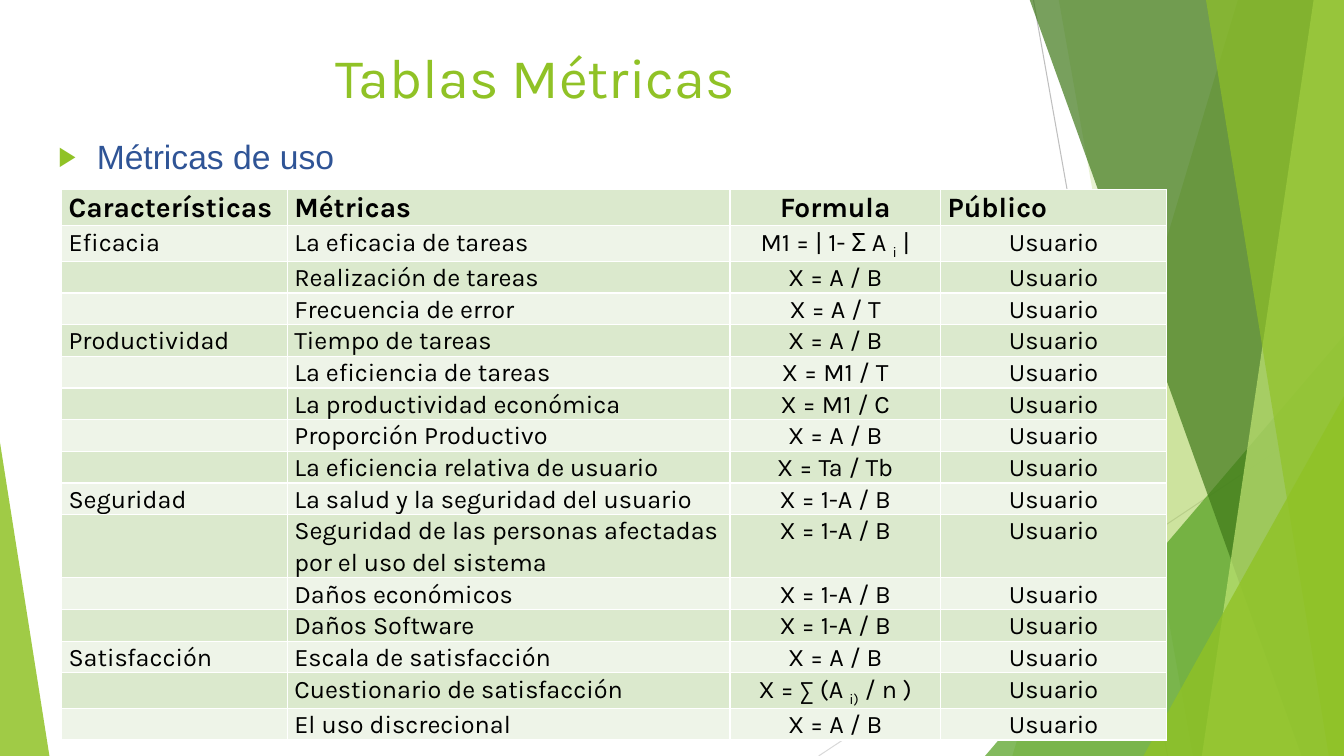
from typing import NamedTuple

from lxml.etree import SubElement
from pptx import Presentation
from pptx.dml.color import RGBColor
from pptx.enum.shapes import MSO_CONNECTOR, MSO_SHAPE
from pptx.enum.text import MSO_ANCHOR, MSO_AUTO_SIZE, PP_ALIGN
from pptx.oxml.ns import qn
from pptx.util import Inches, Pt

GREEN, BLUE, BLACK, WHITE = "90C226", "2F5496", "000000", "FFFFFF"
BANDS = ("DBE9CD", "EEF4E8")
WIDTH, HEIGHT, TOP = 13.33, 7.5, -0.01


class Ray(NamedTuple):
    start: tuple[float, float]
    end: tuple[float, float]
    color: str


class Blade(NamedTuple):
    """Panel running to the right slide edge, with a slanted left side."""
    top_x: float
    bottom_x: float
    color: str
    opacity: int


class Corner(NamedTuple):
    """Right triangle on the bottom edge; apex 0 is left, 1 is right."""
    left: float
    top: float
    width: float
    apex: int
    color: str
    opacity: int


class Metric(NamedTuple):
    feature: str
    name: str
    formula: str  # subscripts stand between underscores
    audience: str = "Usuario"


RAYS = (
    Ray((10.25, 0), (11.58, HEIGHT), "BFBFBF"),
    Ray((WIDTH, 4.03), (8.12, HEIGHT), "D9D9D9"),
)
FACETS = (
    Blade(12.28, 10.04, GREEN, 30),
    Blade(10.5, 11.83, GREEN, 20),
    Corner(9.77, 3.33, 3.56, 1, "54A021", 72),
    Blade(10.21, 12.91, "3F7819", 70),
    Blade(13.03, 11.92, "C0E474", 70),
    Blade(11.96, 13.18, GREEN, 65),
    Corner(11.34, 3.93, 1.99, 1, GREEN, 80),
    Corner(0, 4.39, 0.49, 0, GREEN, 85),
)
METRICS = (
    Metric("Características", "Métricas", "Formula", "Público"),
    Metric("Eficacia", "La eficacia de tareas", "M1 = | 1- Σ A _i_ |"),
    Metric("", "Realización de tareas", "X = A / B"),
    Metric("", "Frecuencia de error", "X = A / T"),
    Metric("Productividad", "Tiempo de tareas", "X = A / B"),
    Metric("", "La eficiencia de tareas", "X = M1 / T"),
    Metric("", "La productividad económica", "X = M1 / C"),
    Metric("", "Proporción Productivo", "X = A / B"),
    Metric("", "La eficiencia relativa de usuario", "X = Ta / Tb"),
    Metric("Seguridad", "La salud y la seguridad del usuario", "X = 1-A / B"),
    Metric("", "Seguridad de las personas afectadas por el uso del sistema", "X = 1-A / B"),
    Metric("", "Daños económicos", "X = 1-A / B"),
    Metric("", "Daños Software", "X = 1-A / B"),
    Metric("Satisfacción", "Escala de satisfacción", "X = A / B"),
    Metric("", "Cuestionario de satisfacción", "X = ∑ (A _i)_ / n )"),
    Metric("", "El uso discrecional", "X = A / B"),
)
COLUMN_WIDTHS = (2.24, 4.39, 2.09, 2.24)
HEADER_HEIGHT, ROW_HEIGHT, TALL_ROW, TALL_HEIGHT = 0.36, 0.28, 10, 0.56


def rgb(color: str) -> RGBColor:
    return RGBColor.from_string(color)


def style_run(run, size: int, font: str, color: str, bold: bool = False) -> None:
    run.font.size, run.font.name, run.font.bold = Pt(size), font, bold
    run.font.color.rgb = rgb(color)


def draw_ray(slide, ray: Ray) -> None:
    ends = [Inches(value) for value in ray.start + ray.end]
    line = slide.shapes.add_connector(MSO_CONNECTOR.STRAIGHT, *ends)
    line.line.color.rgb, line.line.width = rgb(ray.color), Pt(0.75)
    SubElement(line.element.spPr, qn("a:effectLst"))


def draw_facet(slide, facet: Blade | Corner) -> None:
    if isinstance(facet, Blade):
        outline = slide.shapes.build_freeform(Inches(facet.top_x), Inches(TOP))
        corners = ((WIDTH, TOP), (WIDTH, HEIGHT), (facet.bottom_x, HEIGHT))
        outline.add_line_segments([(Inches(x), Inches(y)) for x, y in corners])
        shape = outline.convert_to_shape()
    else:
        shape = slide.shapes.add_shape(
            MSO_SHAPE.ISOSCELES_TRIANGLE, Inches(facet.left), Inches(facet.top),
            Inches(facet.width), Inches(HEIGHT - facet.top))
        shape.adjustments[0] = facet.apex
    shape.shadow.inherit = False
    shape.line.fill.background()
    shape.fill.solid()
    shape.fill.fore_color.rgb = rgb(facet.color)
    tint = shape.element.spPr.find(qn("a:solidFill"))[0]
    SubElement(tint, qn("a:alpha"), val=str(facet.opacity * 1000))


def fill_placeholder(holder, text: str, box: tuple, size: int, font: str, color: str):
    """Place and format a one-line placeholder in front; return its paragraph."""
    holder.left, holder.top, holder.width, holder.height = map(Inches, box)
    holder.element.getparent().append(holder.element)
    frame = holder.text_frame
    frame.text = text
    frame.auto_size, frame.vertical_anchor = MSO_AUTO_SIZE.NONE, MSO_ANCHOR.TOP
    style_run(frame.paragraphs[0].runs[0], size, font, color)
    return frame.paragraphs[0]


def add_bullet(paragraph) -> None:
    paragraph.space_before = Pt(10)
    props = paragraph._p.get_or_add_pPr()
    props.set("marL", str(Inches(0.38)))
    props.set("indent", str(Inches(-0.38)))
    SubElement(SubElement(props, qn("a:buClr")), qn("a:srgbClr"), val=GREEN)
    SubElement(props, qn("a:buSzPct"), val="80000")
    SubElement(props, qn("a:buChar"), char="▶")


def add_borders(cell) -> None:
    props = cell._tc.get_or_add_tcPr()
    for side in ("lnL", "lnR", "lnT", "lnB"):
        border = SubElement(props, qn(f"a:{side}"), w=str(Pt(1)))
        SubElement(SubElement(border, qn("a:solidFill")), qn("a:srgbClr"), val=WHITE)


def fill_cell(cell, text: str, band: str, centred: bool, header: bool) -> None:
    add_borders(cell)
    cell.fill.solid()
    cell.fill.fore_color.rgb = rgb(band)
    cell.margin_left = cell.margin_right = Inches(0.07)
    cell.margin_top = cell.margin_bottom = 0
    paragraph = cell.text_frame.paragraphs[0]
    paragraph.line_spacing, paragraph.space_after = 1.07, Pt(8)
    paragraph.alignment = PP_ALIGN.CENTER if centred else PP_ALIGN.LEFT
    if not text:
        SubElement(paragraph._p, qn("a:endParaRPr"), sz="1000")
        return
    for index, part in enumerate(text.split("_")):
        run = paragraph.add_run()
        run.text = part
        style_run(run, 20 if header else 18, "Karla", BLACK, header)
        if index % 2:
            run._r.get_or_add_rPr().set("baseline", "-25000")


def add_metrics_table(slide) -> None:
    table = slide.shapes.add_table(
        len(METRICS), len(COLUMN_WIDTHS), Inches(0.61), Inches(1.88),
        Inches(sum(COLUMN_WIDTHS)), Inches(5.25)).table
    table.first_row = table.horz_banding = False
    for column, width in zip(table.columns, COLUMN_WIDTHS):
        column.width = Inches(width)
    for r, metric in enumerate(METRICS):
        height = {0: HEADER_HEIGHT, TALL_ROW: TALL_HEIGHT}.get(r, ROW_HEIGHT)
        table.rows[r].height = Inches(height)
        for c, text in enumerate(metric):
            centred = c == 2 or (c == 3 and r > 0)
            fill_cell(table.cell(r, c), text, BANDS[r % 2], centred, r == 0)


def main() -> None:
    deck = Presentation()
    deck.slide_width, deck.slide_height = Inches(WIDTH), Inches(HEIGHT)
    slide = deck.slides.add_slide(deck.slide_layouts[1])
    for ray in RAYS:
        draw_ray(slide, ray)
    for facet in FACETS:
        draw_facet(slide, facet)
    heading = fill_placeholder(slide.shapes.title, "Tablas Métricas",
                               (0.61, 0.37, 9.4, 1.44), 40, "Karla", GREEN)
    heading.alignment = PP_ALIGN.CENTER
    topic = fill_placeholder(slide.placeholders[1], "Métricas de uso",
                             (0.48, 1.3, 9.4, 4.24), 24, "Arial", BLUE)
    add_bullet(topic)
    add_metrics_table(slide)
    deck.save("out.pptx")


if __name__ == "__main__":
    main()
